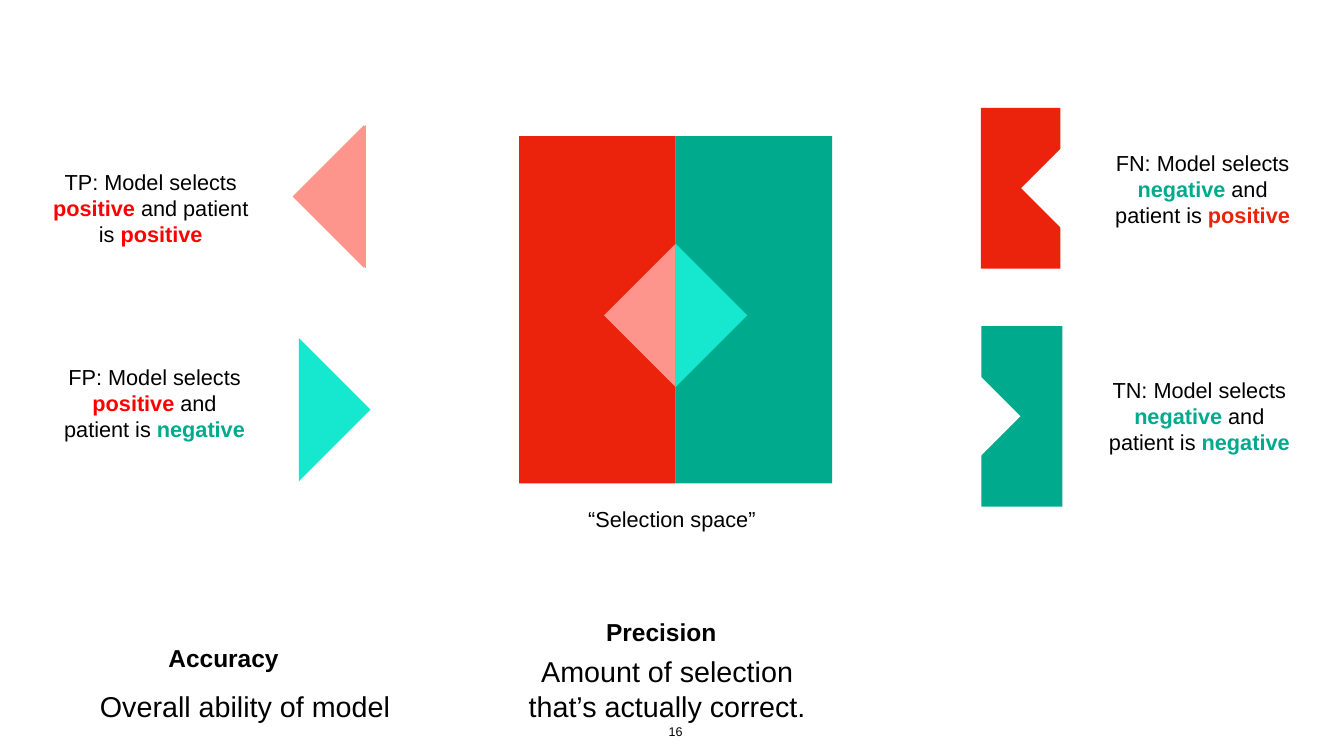
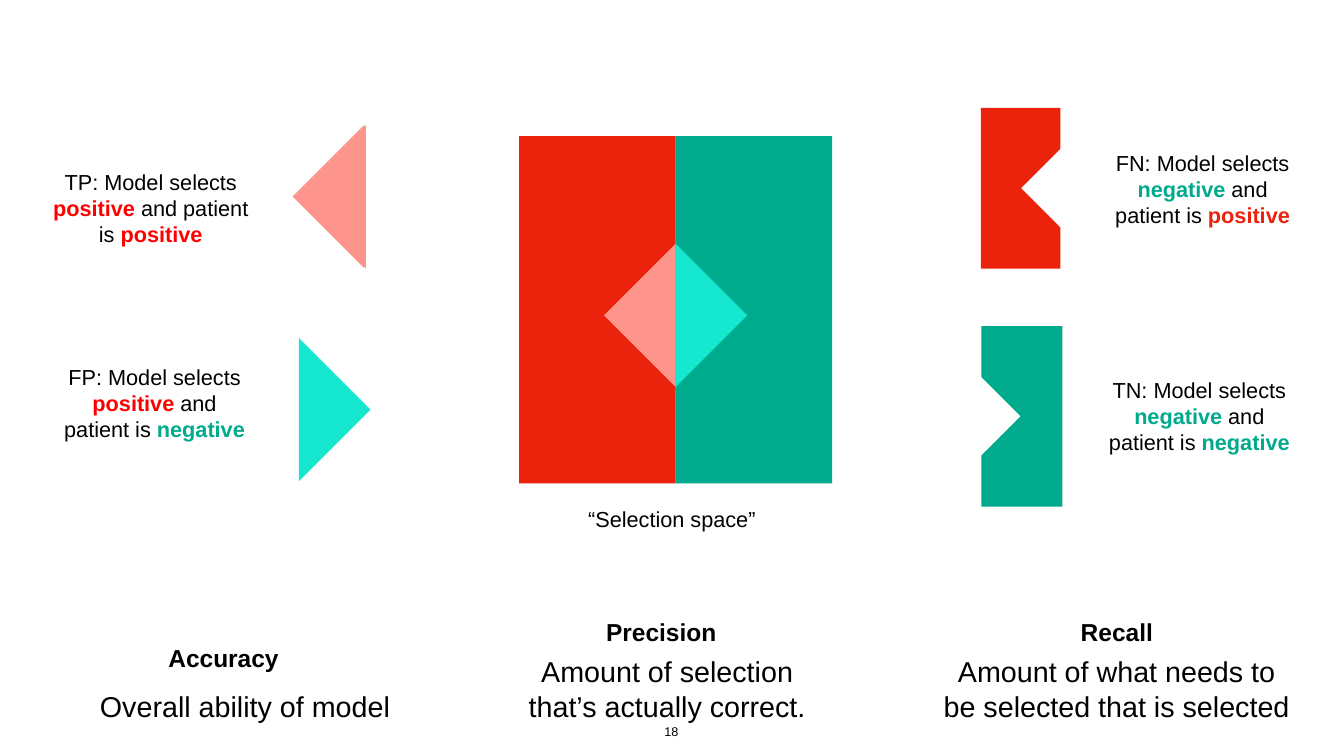
from pptx import Presentation
from pptx.dml.color import RGBColor
from pptx.enum.shapes import MSO_SHAPE
from pptx.enum.text import MSO_ANCHOR, MSO_AUTO_SIZE, PP_ALIGN
from pptx.util import Inches, Pt

RECT = MSO_SHAPE.RECTANGLE
MIDDLE, BOTTOM = MSO_ANCHOR.MIDDLE, MSO_ANCHOR.BOTTOM
CENTER = PP_ALIGN.CENTER
GROW = MSO_AUTO_SIZE.SHAPE_TO_FIT_TEXT

WIDTH, HEIGHT = Inches(26.67), Inches(15)
COL, ROW = WIDTH / 80, HEIGHT / 45
INSET = Inches(0.06)
COLORS = {
    "text": "000000",
    "white": "FFFFFF",
    "red": "EB220C",
    "bright_red": "FF0000",
    "green": "00AA8D",
    "pink": "FE958C",
    "mint": "16E7CF",
}
FONT = "Arial"
SIZES = {"heading": 35, "body": 41, "label": 31, "number": 18}
DIAMOND_SIDE, NOTCH_SIDE = 6.03, 3.48
NOTCH_OFFSET = 0.13
POINT_LEFT, POINT_RIGHT = 45, 225

SELECTION_BOX = (30.9, 8.1, 18.63, 20.67)
SELECTED = [
    ("TP", (2.91, 9.84, 12.12, 5.07), ("positive", "bright_red"),
     [(21.68, 11.7), (21.78, 11.7)], POINT_LEFT, "pink"),
    ("FP", (3.33, 21.42, 11.73, 5.07), ("negative", "green"),
     [(17.79, 24.38)], POINT_RIGHT, "mint"),
]
REJECTED = [
    ("TN", (65.52, 22.23, 11.73, 5.07), ("negative", "green"),
     (58.41, 19.41, 4.83, 10.74), POINT_RIGHT),
    ("FN", (65.52, 8.73, 12.12, 5.07), ("positive", "red"),
     (58.38, 6.42, 4.74, 9.57), POINT_LEFT),
]
ACCURACY = ("Accuracy", "Overall ability of model",
            (5.34, 40.8, 18.51, 2.4), (4.02, -2.7, 7.89, 2.1))
PRECISION = ("Precision", "Amount of selection that’s actually correct.",
             (30.24, 38.79, 18.96, 4.4), (5.31, -2.25, 7.62, 2.1))
RECALL = ("Recall", "Amount of what needs to be selected that is selected",
          (55.74, 38.79, 21.48, 4.4), (8.4, -2.25, 4.68, 2.1))


def emu(box):
    x, y, w, h = box
    return round(x * COL), round(y * ROW), round(w * COL), round(h * ROW)


def paint(sp, color):
    sp.shadow.inherit = False
    sp.fill.solid()
    sp.fill.fore_color.rgb = RGBColor.from_string(COLORS[color])
    sp.line.fill.background()


def add_text(s, box, runs, size, anchor=MIDDLE, wrap=True, bold=False):
    tf = s.shapes.add_textbox(*emu(box)).text_frame
    frame = {"word_wrap": wrap, "auto_size": GROW, "vertical_anchor": anchor,
             "margin_left": INSET, "margin_right": INSET,
             "margin_top": INSET, "margin_bottom": INSET}
    for name, value in frame.items():
        setattr(tf, name, value)
    p = tf.paragraphs[0]
    p.alignment = CENTER
    for text, color in runs:
        r = p.add_run()
        r.text = text
        style = {"name": FONT, "size": Pt(SIZES[size]),
                 "bold": bold or color != "text"}
        for name, value in style.items():
            setattr(r.font, name, value)
        r.font.color.rgb = RGBColor.from_string(COLORS[color])


def add_block(s, box, color):
    paint(s.shapes.add_shape(RECT, *emu(box)), color)


def add_half_diamond(s, center, side, direction, color):
    x, y, w, h = emu((center[0] - side / 2, center[1] - side / 2, side, side))
    builder = s.shapes.build_freeform(x, y)
    builder.add_line_segments([(x, y + h), (x + w, y + h)], close=True)
    sp = builder.convert_to_shape()
    sp.rotation = direction
    paint(sp, color)


def add_outcome_label(s, box, code, chosen, actual):
    runs = [(f"{code}: Model selects ", "text"), chosen,
            (" and patient is ", "text"), actual]
    add_text(s, box, runs, "label")


def selection_space(s, box):
    x, y, w, h = box
    half = w / 2
    add_block(s, (x + half, y, half, h), "green")
    add_block(s, (x, y, half, h), "red")
    center = (x + half, y + h / 2 + 0.34)
    add_half_diamond(s, center, DIAMOND_SIDE, POINT_LEFT, "pink")
    add_half_diamond(s, center, DIAMOND_SIDE, POINT_RIGHT, "mint")
    add_text(s, (x + 3.75, y + h + 1.17, 10.68, 1.89),
             [("“Selection space”", "text")], "label")


def selected_outcome(s, code, box, actual, centers, direction, color):
    add_outcome_label(s, box, code, ("positive", "bright_red"), actual)
    for center in centers:
        add_half_diamond(s, center, DIAMOND_SIDE, direction, color)


def rejected_outcome(s, code, box, actual, block, direction):
    x, y, w, h = block
    add_block(s, block, actual[1])
    edge = x + w + NOTCH_OFFSET if direction == POINT_LEFT else x - NOTCH_OFFSET
    add_half_diamond(s, (edge, y + h / 2), NOTCH_SIDE, direction, "white")
    add_outcome_label(s, box, code, ("negative", "green"), actual)


def metric(s, name, meaning, box, heading):
    dx, dy, w, h = heading
    add_text(s, (box[0] + dx, box[1] + dy, w, h), [(name, "text")],
             "heading", wrap=False, bold=True)
    add_text(s, box, [(meaning, "text")], "body")


def metrics_slide(prs, number, number_box, metrics):
    s = prs.slides.add_slide(prs.slide_layouts[6])
    selection_space(s, SELECTION_BOX)
    for outcome in SELECTED:
        selected_outcome(s, *outcome)
    for outcome in REJECTED:
        rejected_outcome(s, *outcome)
    for item in metrics:
        metric(s, *item)
    add_text(s, number_box, [(number, "text")], "number", BOTTOM, wrap=False)


def main():
    prs = Presentation()
    prs.slide_width, prs.slide_height = WIDTH, HEIGHT
    metrics_slide(prs, "16", (39.21, 42.9, 2.01, 1.26), [ACCURACY, PRECISION])
    metrics_slide(prs, "18", (39.36, 42.93, 1.2, 1.23),
                  [ACCURACY, PRECISION, RECALL])
    prs.save("out.pptx")


if __name__ == "__main__":
    main()
